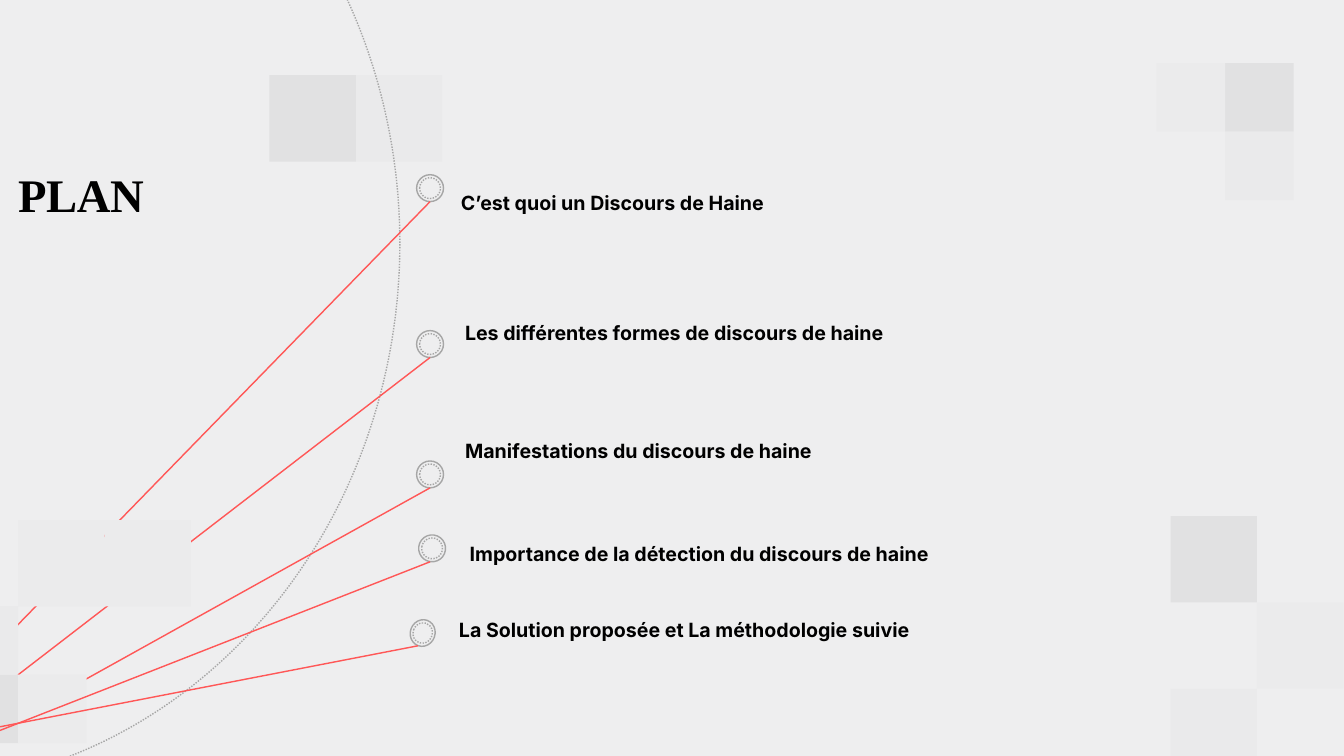
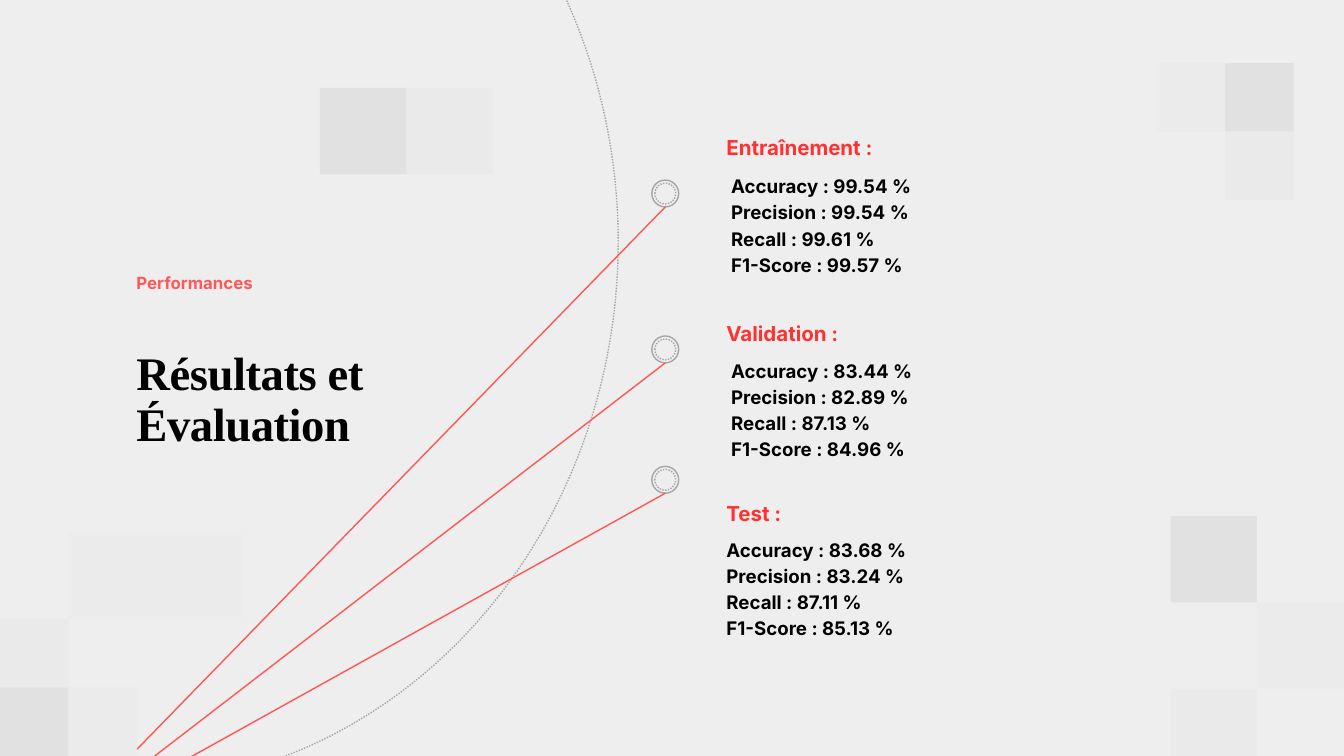
from lxml import etree
from pptx import Presentation, util as u
from pptx.dml.color import RGBColor
from pptx.enum import dml, shapes, text
from pptx.oxml.ns import qn

HUES = {
    "back": "EEEEEF",
    "dark": "E1E1E2",
    "mid": "EBEBEC",
    "pale": "EAEAEB",
    "gray": "A6A6A6",
    "ray": "FF5757",
    "head": "FF3131",
    "ink": "000000",
}
SMALL, LARGE = 1.02, 1.285
RING, CORE = 0.4, 0.31


def hue(name):
    return RGBColor.from_string(HUES[name])


def box(x, y, w, h):
    return [u.Inches(v) for v in (x, y, w, h)]


def write(slide, words, x, y, w, h, size=21, font="Inter", color="ink",
          lead=29.4, track=0):
    area = slide.shapes.add_textbox(*box(x, y, w, h))
    frame = area.text_frame
    frame.margin_left = frame.margin_right = 0
    frame.margin_top = frame.margin_bottom = 0
    frame.word_wrap = True
    frame.auto_size = text.MSO_AUTO_SIZE.SHAPE_TO_FIT_TEXT
    for i, line in enumerate(words.split("\n")):
        para = frame.paragraphs[0] if i == 0 else frame.add_paragraph()
        para.line_spacing = u.Pt(lead)
        run = para.add_run()
        run.text = line
        run.font.size = u.Pt(size)
        run.font.name = font
        run.font.bold = True
        run.font.color.rgb = hue(color)
        if track:
            run.font._element.set("spc", str(track))


def title(slide, words, x, y, h):
    write(slide, words, x, y, 5.85, h, size=50, font="Times New Roman",
          lead=55, track=-50)


def form(slide, kind, x, y, w, h, fill=None, line=None, dots=False, tilt=0):
    item = slide.shapes.add_shape(kind, *box(x, y, w, h))
    item.shadow.inherit = False
    item.rotation = tilt
    if fill:
        item.fill.solid()
        item.fill.fore_color.rgb = hue(fill)
    else:
        item.fill.background()
    if line:
        item.line.color.rgb = hue(line)
        item.line.width = u.Pt(1.5)
        if dots:
            item.line.dash_style = dml.MSO_LINE.ROUND_DOT
    else:
        item.line.fill.background()


def oval(slide, *area, **look):
    form(slide, shapes.MSO_SHAPE.OVAL, *area, line="gray", **look)


def tiles(slide, x, y, side, cells):
    for col, row, tone in cells:
        form(slide, shapes.MSO_SHAPE.RECTANGLE, x + col * side,
             y + row * side, side, side, fill=tone)


def ring(slide, x, y, wide=1, tilt=0):
    for size, dots in ((RING, False), (CORE, True)):
        w = size * wide
        oval(slide, x - w / 2, y - size / 2, w, size, fill="back",
             dots=dots, tilt=tilt)


def ray(slide, x, y, end_x, end_y):
    line = slide.shapes.add_connector(
        shapes.MSO_CONNECTOR.STRAIGHT, *box(x, y, end_x, end_y))
    line.line.color.rgb = hue("ray")
    line.line.width = u.Pt(1.5)
    etree.SubElement(line._element.spPr, qn("a:effectLst"))


def fan(slide, x, y):
    for drop in (0, 2.32, 4.26):
        ring(slide, x, y + drop)
        ray(slide, x, y + drop + RING / 2, x - 9.05, y + 9.49)


def left(slide, x, y):
    tiles(slide, x + 1.02, y + 6.62, LARGE, [(0, 0, "mid"), (1, 0, "mid")])
    tiles(slide, x, y + 7.9, SMALL,
          [(0, 1, "dark"), (1, 1, "mid"), (0, 0, "pale")])


def right(slide):
    tiles(slide, 17.21, 0.94, SMALL,
          [(1, 0, "dark"), (0, 0, "mid"), (1, 1, "pale")])
    tiles(slide, 17.42, 7.68, LARGE,
          [(0, 0, "dark"), (1, 1, "mid"), (0, 2, "pale")])


def scene(deck, tile, arc, hub):
    slide = deck.slides.add_slide(deck.slide_layouts[6])
    slide.background.fill.solid()
    slide.background.fill.fore_color.rgb = hue("back")
    x, y = tile
    tiles(slide, x + 4.76, y, LARGE, [(1, 0, "pale"), (0, 0, "dark")])
    oval(slide, *arc, 14.83, 16.22, dots=True)
    fan(slide, *hub)
    left(slide, x, y)
    right(slide)
    return slide


def plan(deck):
    slide = scene(deck, (-0.75, 1.12), (-8.88, -4.49), (6.4, 2.8))
    title(slide, "PLAN", 0.27, 2.54, 0.78)
    ring(slide, 6.43, 8.16, tilt=7.7)
    ray(slide, 6.4, 8.36, -3.24, 12.14)
    ring(slide, 6.29, 9.42, wide=0.92, tilt=19.3)
    ray(slide, 6.22, 9.61, -3.43, 11.48)
    for x, y, words in (
        (6.86, 2.78, "C’est quoi un Discours de Haine"),
        (6.92, 4.71, "Les différentes formes de discours de haine"),
        (6.92, 6.47, "Manifestations du discours de haine"),
        (6.99, 8.01, "Importance de la détection du discours de haine"),
        (6.83, 9.13, "La Solution proposée et La méthodologie suivie"),
    ):
        write(slide, words, x, y, 8, 0.39)


def score(slide, x, y, name, marks, inset, drop):
    write(slide, name, x, y, 5.84, 0.41, size=22, color="head", lead=30.8)
    keys = ("Accuracy", "Precision", "Recall", "F1-Score")
    rows = [f"{key} : {mark:.2f} %" for key, mark in zip(keys, marks)]
    write(slide, "\n".join(rows), x + inset, y + drop, 5.16, 1.56,
          size=20, lead=28)


def results(deck):
    slide = scene(deck, (0, 1.31), (-5.63, -4.51), (9.9, 2.88))
    write(slide, "Performances", 2.03, 4.09, 5.28, 0.28, size=18,
          color="ray", lead=19.8)
    title(slide, "Résultats et Évaluation", 2.03, 5.18, 1.54)
    for y, name, marks, inset, drop in (
        (1.94, "Entraînement :", (99.54, 99.54, 99.61, 99.57), 0.07, 0.61),
        (4.72, "Validation :", (83.44, 82.89, 87.13, 84.96), 0.07, 0.58),
        (7.4, "Test :", (83.68, 83.24, 87.11, 85.13), 0, 0.56),
    ):
        score(slide, 10.81, y, name, marks, inset, drop)


def main():
    deck = Presentation()
    deck.slide_width = u.Inches(20)
    deck.slide_height = u.Inches(11.25)
    plan(deck)
    results(deck)
    deck.save("out.pptx")


if __name__ == "__main__":
    main()
